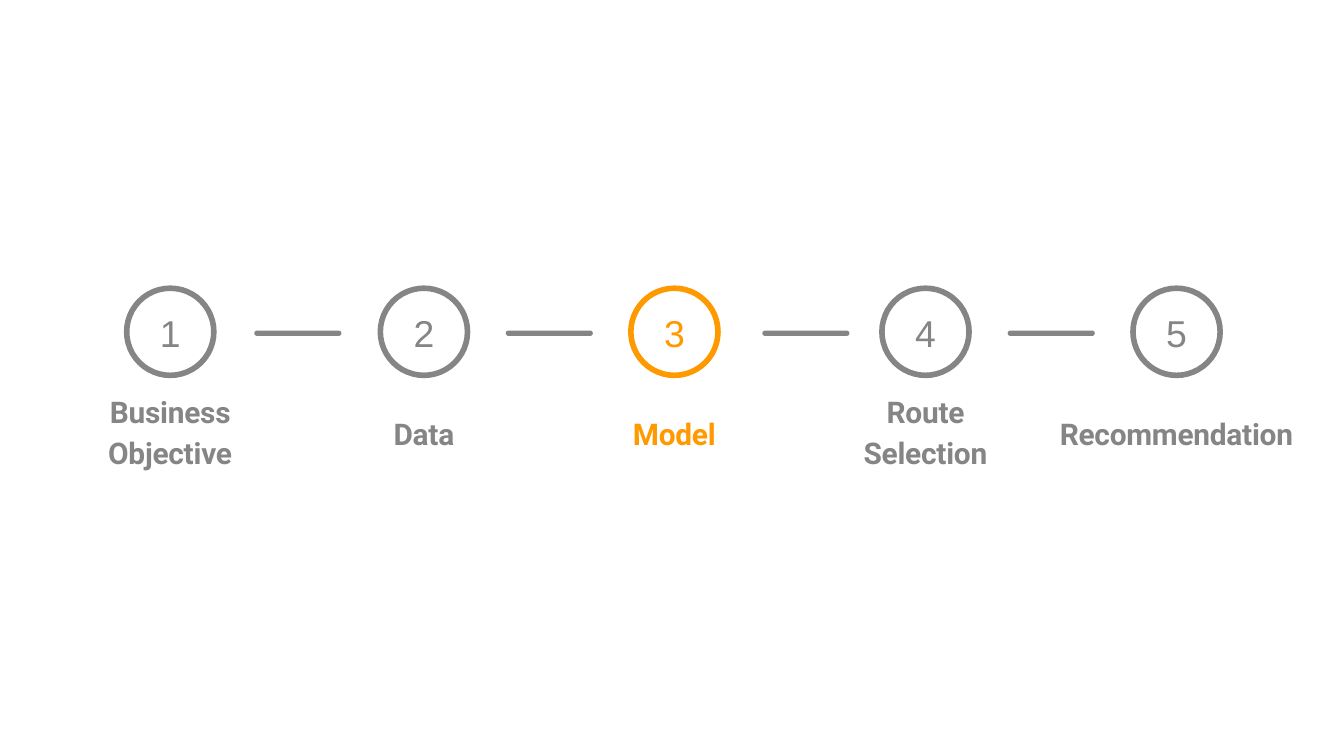
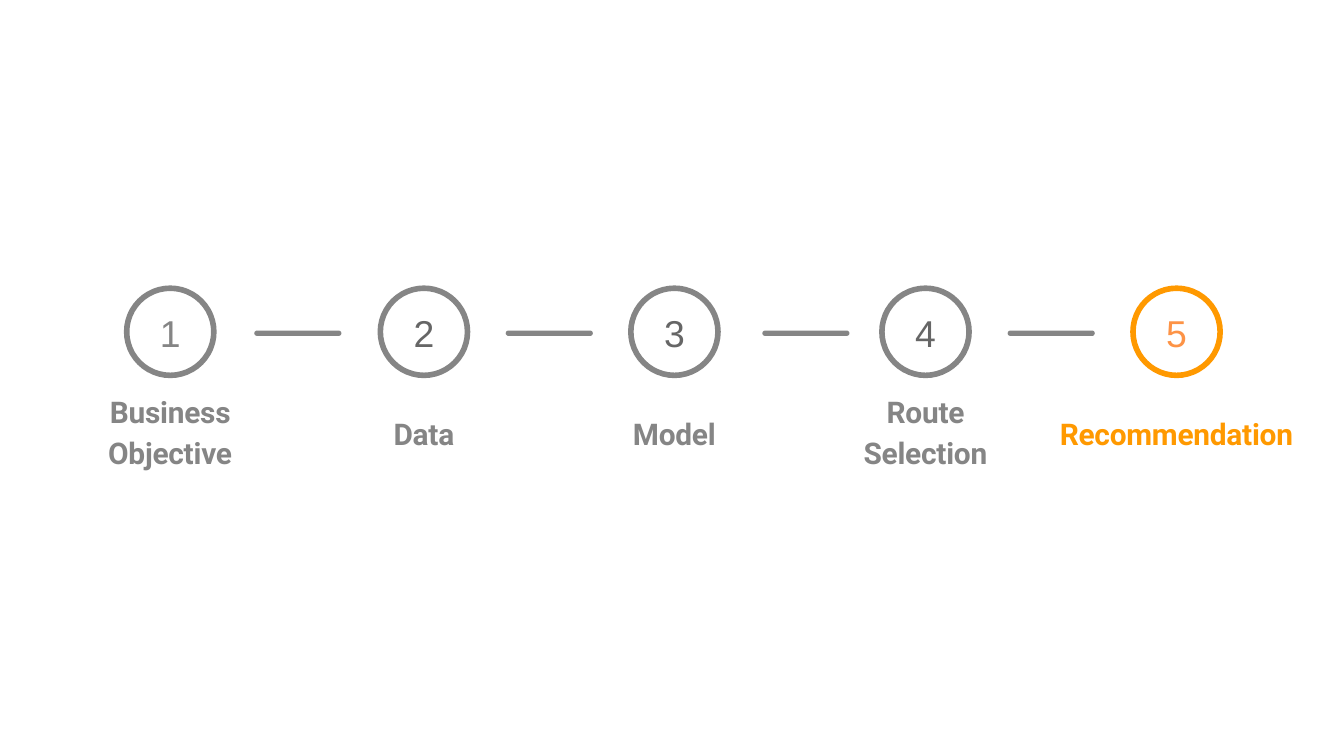
from pptx import Presentation
from pptx.dml.color import RGBColor
from pptx.enum.shapes import MSO_SHAPE
from pptx.enum.text import PP_ALIGN
from pptx.util import Pt

OVAL, ROUNDED = MSO_SHAPE.OVAL, MSO_SHAPE.ROUNDED_RECTANGLE
CENTER = PP_ALIGN.CENTER

COLORS = {"grey": "858585", "dark": "666666", "orange": "FF9900", "coral": "FD9346"}

STEPS = [
    ("Business Objective", 91.2, 77, 2),
    ("Data", 227.1, 42, 1),
    ("Model", 361.3, 58, 1),
    ("Route Selection", 495.8, 77, 2),
    ("Recommendation", 630.3, 136, 1),
]
DASH_LEFTS = [136.2, 270.9, 408.4, 539.8]
SLIDES = [
    {"active": 3, "digits": ["grey", "grey", "orange", "grey", "grey"]},
    {"active": 5, "digits": ["grey", "dark", "dark", "dark", "coral"]},
]

CIRCLE_TOP, CIRCLE_SIZE = 154.4, 46.7
DASH_TOP, DASH_W, DASH_H = 177.1, 46.7, 2.9
DIGIT_TOP, DIGIT_W, DIGIT_H = 164.2, 13, 26
LABEL_PLACES = {1: (221, 21), 2: (206.6, 43)}


def rgb(name):
    return RGBColor.from_string(COLORS[name])


def add_text(s, text, center, top, width, height, font, size, color, bold=False):
    box = s.shapes.add_textbox(Pt(center - width / 2), Pt(top), Pt(width), Pt(height))
    tf = box.text_frame
    tf.word_wrap = True
    tf.margin_left = tf.margin_right = tf.margin_bottom = 0
    tf.margin_top = Pt(1.9)
    p = tf.paragraphs[0]
    p.text = text
    p.alignment = CENTER
    p.font.name, p.font.size, p.font.bold = font, Pt(size), bold
    p.font.color.rgb = rgb(color)
    return p


def add_dash(s, left):
    sp = s.shapes.add_shape(ROUNDED, Pt(left), Pt(DASH_TOP), Pt(DASH_W), Pt(DASH_H))
    sp.shadow.inherit = False
    sp.adjustments[0] = 0.5
    sp.fill.solid()
    sp.fill.fore_color.rgb = rgb("grey")
    sp.line.fill.background()


def add_step(s, number, step, color, digit_color):
    label, center, width, lines = step
    sp = s.shapes.add_shape(OVAL, Pt(center - CIRCLE_SIZE / 2), Pt(CIRCLE_TOP),
                            Pt(CIRCLE_SIZE), Pt(CIRCLE_SIZE))
    sp.shadow.inherit = False
    sp.fill.background()
    sp.line.color.rgb = rgb(color)
    sp.line.width = Pt(3)
    add_text(s, str(number), center, DIGIT_TOP, DIGIT_W, DIGIT_H, "Arial", 20, digit_color)
    top, height = LABEL_PLACES[lines]
    p = add_text(s, label, center, top, width, height, "Roboto", 16, color, True)
    p.runs[0]._r.get_or_add_rPr().set("spc", "-10")
    if lines > 1:
        p.line_spacing = 1.13


def main():
    prs = Presentation()
    prs.slide_width, prs.slide_height = Pt(720), Pt(405)
    for slide in SLIDES:
        s = prs.slides.add_slide(prs.slide_layouts[6])
        for left in DASH_LEFTS:
            add_dash(s, left)
        for number, (step, digit) in enumerate(zip(STEPS, slide["digits"]), 1):
            color = "orange" if number == slide["active"] else "grey"
            add_step(s, number, step, color, digit)
    prs.save("out.pptx")


if __name__ == "__main__":
    main()
